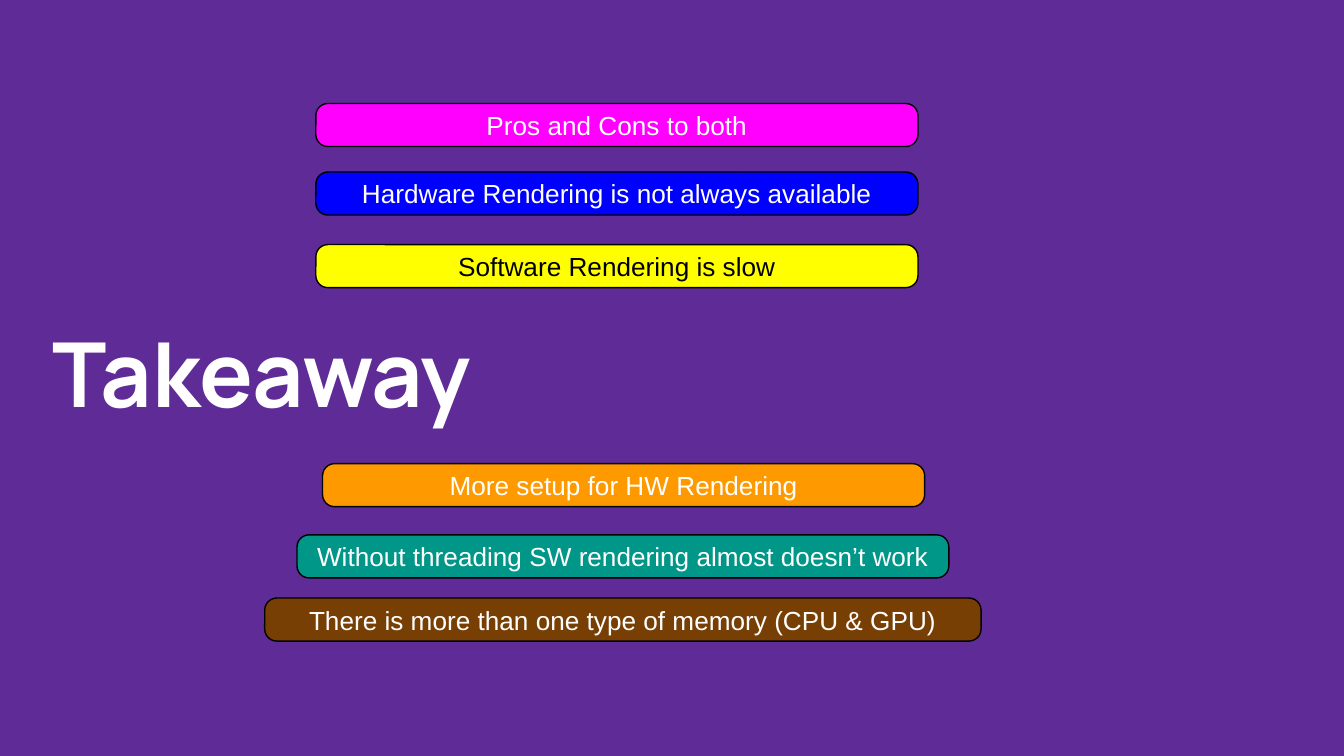
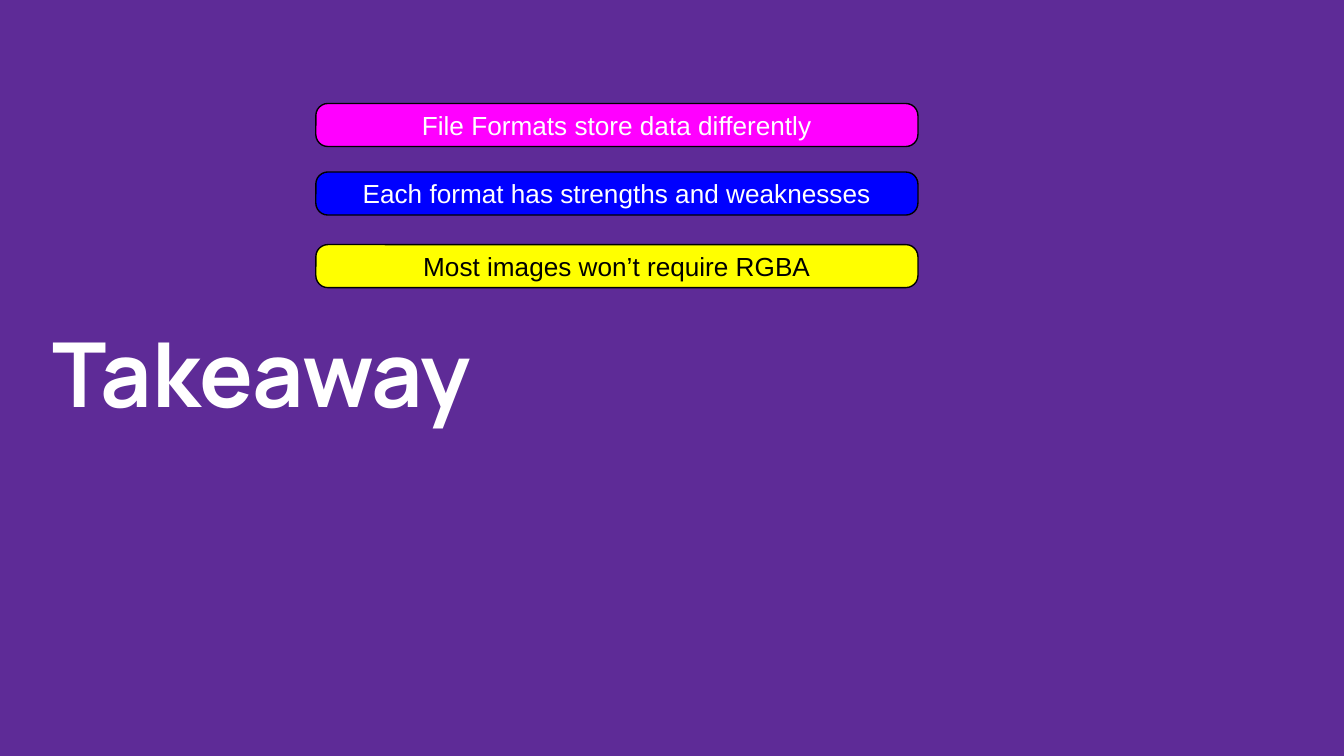
from dataclasses import dataclass

from pptx import Presentation
from pptx.dml.color import RGBColor
from pptx.enum.shapes import MSO_SHAPE
from pptx.enum.text import MSO_ANCHOR, MSO_AUTO_SIZE, PP_ALIGN
from pptx.slide import Slide
from pptx.text.text import TextFrame
from pptx.util import Inches, Pt

ROUNDED = MSO_SHAPE.ROUNDED_RECTANGLE
MIDDLE = MSO_ANCHOR.MIDDLE
NO_AUTOFIT = MSO_AUTO_SIZE.NONE
LEFT, CENTER = PP_ALIGN.LEFT, PP_ALIGN.CENTER
TITLE_ONLY = 5


@dataclass(frozen=True)
class Theme:
    background: str = "5E2B97"
    light: str = "FFFFFF"
    dark: str = "000000"
    magenta: str = "FF00FF"
    blue: str = "0000FF"
    yellow: str = "FFFF00"
    orange: str = "FF9900"
    teal: str = "009688"
    brown: str = "783F04"
    title_font: str = "Manrope"
    title_size: float = 48
    bar_font: str = "Arial"
    bar_size: float = 14
    outline: float = 0.75


THEME = Theme()
PAGE_WIDTH = 10
PAGE_HEIGHT = PAGE_WIDTH * 9 / 16
INSET = 0.1
BAR_HEIGHT = 0.32
BAR_ROUNDING = 0.28


@dataclass(frozen=True)
class BarStyle:
    left: float
    top: float
    fill: str
    width: float = 4.48
    text_color: str = THEME.light


BAR_STYLES = (
    BarStyle(2.35, 0.77, THEME.magenta),
    BarStyle(2.35, 1.28, THEME.blue),
    BarStyle(2.35, 1.82, THEME.yellow, text_color=THEME.dark),
    BarStyle(2.4, 3.45, THEME.orange),
    BarStyle(2.21, 3.98, THEME.teal, width=4.85),
    BarStyle(1.97, 4.45, THEME.brown, width=5.33),
)

TAKEAWAYS = (
    (
        "Pros and Cons to both",
        "Hardware Rendering is not always available",
        "Software Rendering is slow",
        "More setup for HW Rendering",
        "Without threading SW rendering almost doesn’t work",
        "There is more than one type of memory (CPU & GPU)",
    ),
    (
        "File Formats store data differently",
        "Each format has strengths and weaknesses",
        "Most images won’t require RGBA",
    ),
)


def rgb(color: str) -> RGBColor:
    return RGBColor.from_string(color)


def write_text(frame: TextFrame, text: str, font: str, size: float,
               color: str, align: PP_ALIGN, bold: bool = False) -> None:
    frame.text = text
    frame.word_wrap = True
    frame.auto_size = NO_AUTOFIT
    frame.vertical_anchor = MIDDLE
    frame.margin_left = frame.margin_right = Inches(INSET)
    frame.margin_top = frame.margin_bottom = Inches(INSET)
    para = frame.paragraphs[0]
    para.alignment = align
    span = para.runs[0]
    span.font.name = font
    span.font.size = Pt(size)
    span.font.bold = bold
    span.font.color.rgb = rgb(color)


def place_title(page: Slide, text: str) -> None:
    title = page.shapes.title
    title.left, title.top = Inches(0.29), Inches(0.53)
    title.width, title.height = Inches(6.13), Inches(4.47)
    write_text(title.text_frame, text, THEME.title_font, THEME.title_size,
               THEME.light, LEFT, bold=True)


def add_bar(page: Slide, style: BarStyle, text: str) -> None:
    bar = page.shapes.add_shape(ROUNDED, Inches(style.left), Inches(style.top),
                                Inches(style.width), Inches(BAR_HEIGHT))
    bar.adjustments[0] = BAR_ROUNDING
    bar.shadow.inherit = False
    bar.fill.solid()
    bar.fill.fore_color.rgb = rgb(style.fill)
    bar.line.color.rgb = rgb(THEME.dark)
    bar.line.width = Pt(THEME.outline)
    write_text(bar.text_frame, text, THEME.bar_font, THEME.bar_size,
               style.text_color, CENTER)


def main() -> None:
    deck = Presentation()
    deck.slide_width = Inches(PAGE_WIDTH)
    deck.slide_height = Inches(PAGE_HEIGHT)
    for points in TAKEAWAYS:
        page = deck.slides.add_slide(deck.slide_layouts[TITLE_ONLY])
        page.background.fill.solid()
        page.background.fill.fore_color.rgb = rgb(THEME.background)
        place_title(page, "Takeaway")
        for style, text in zip(BAR_STYLES, points):
            add_bar(page, style, text)
    deck.save("out.pptx")


if __name__ == "__main__":
    main()
